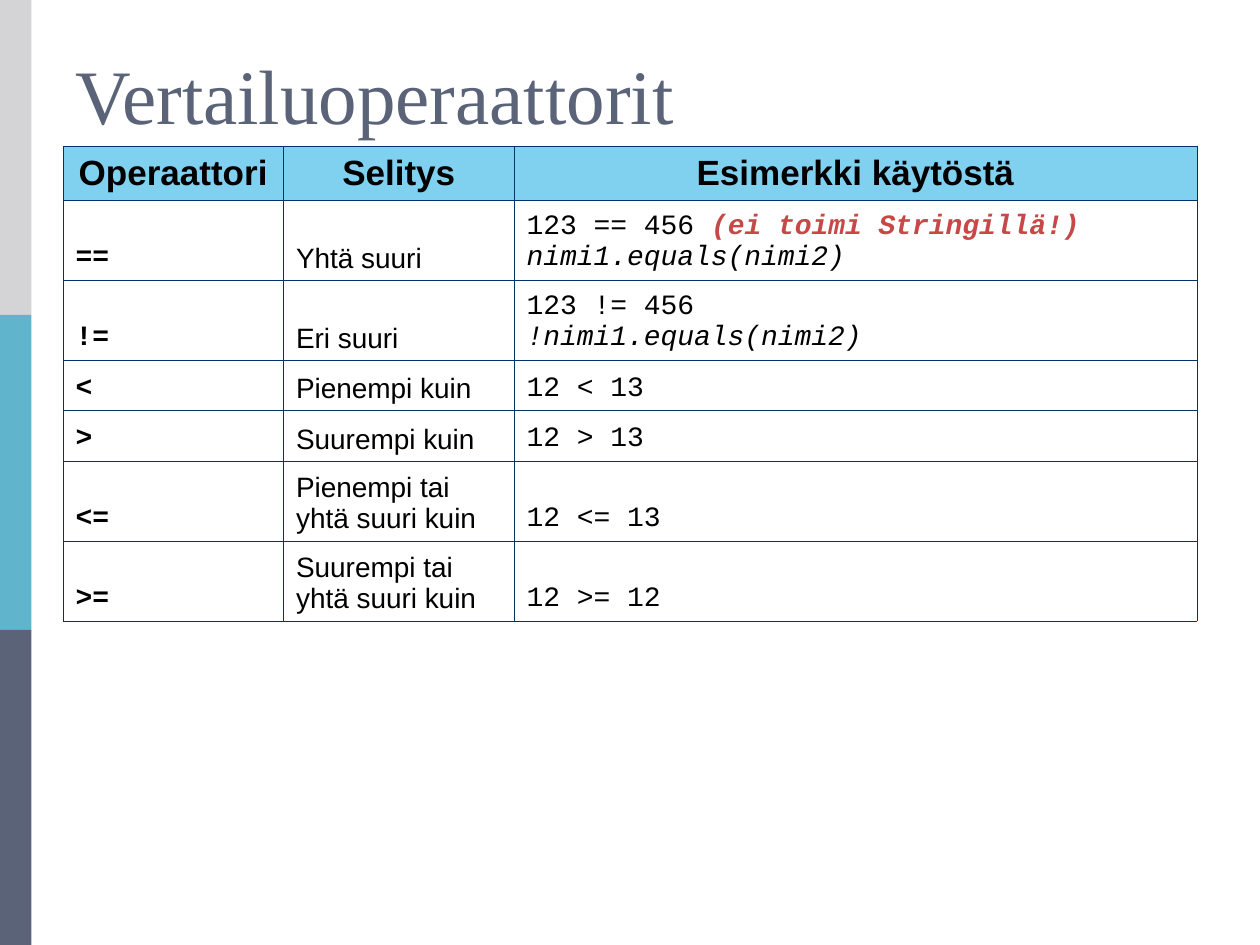
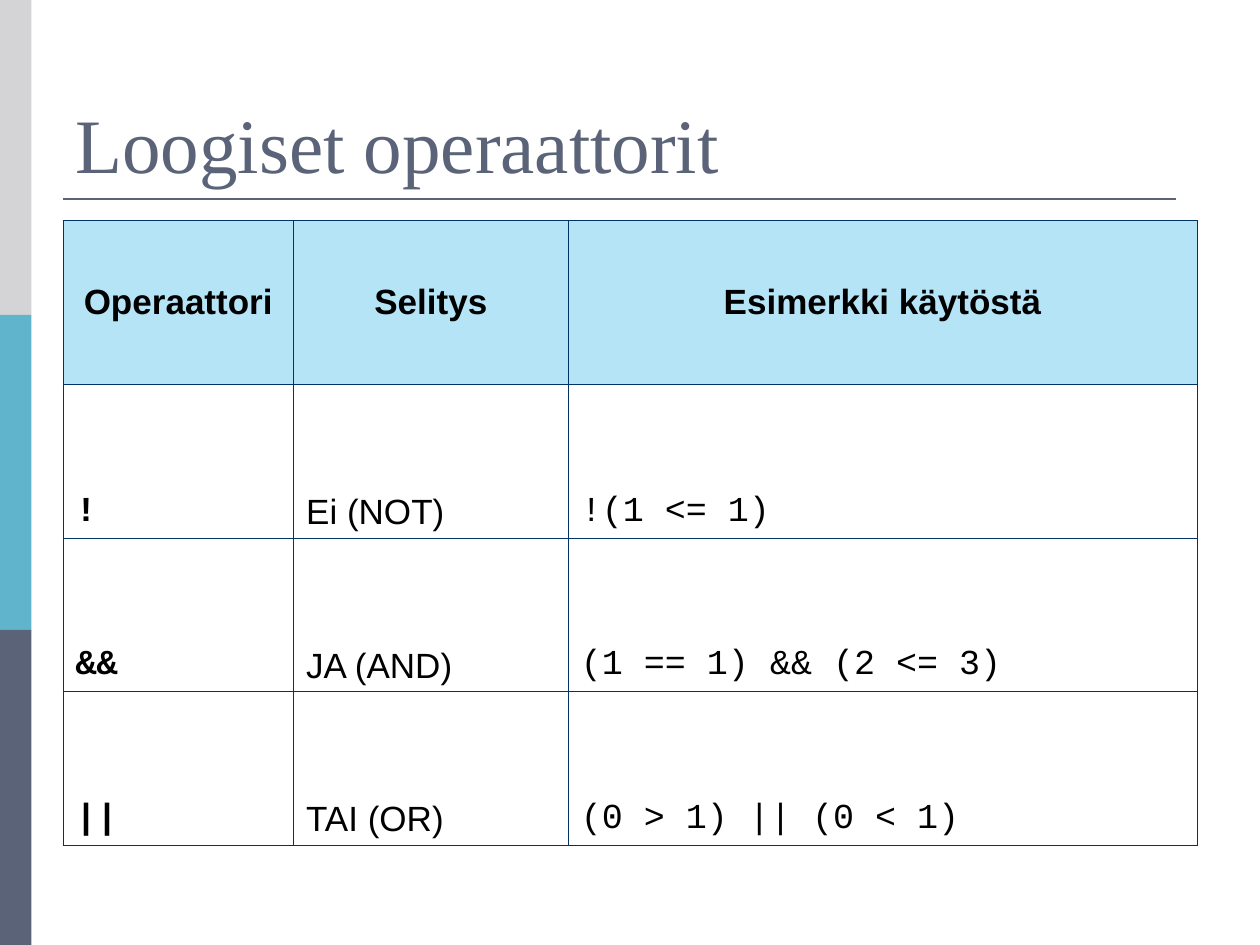
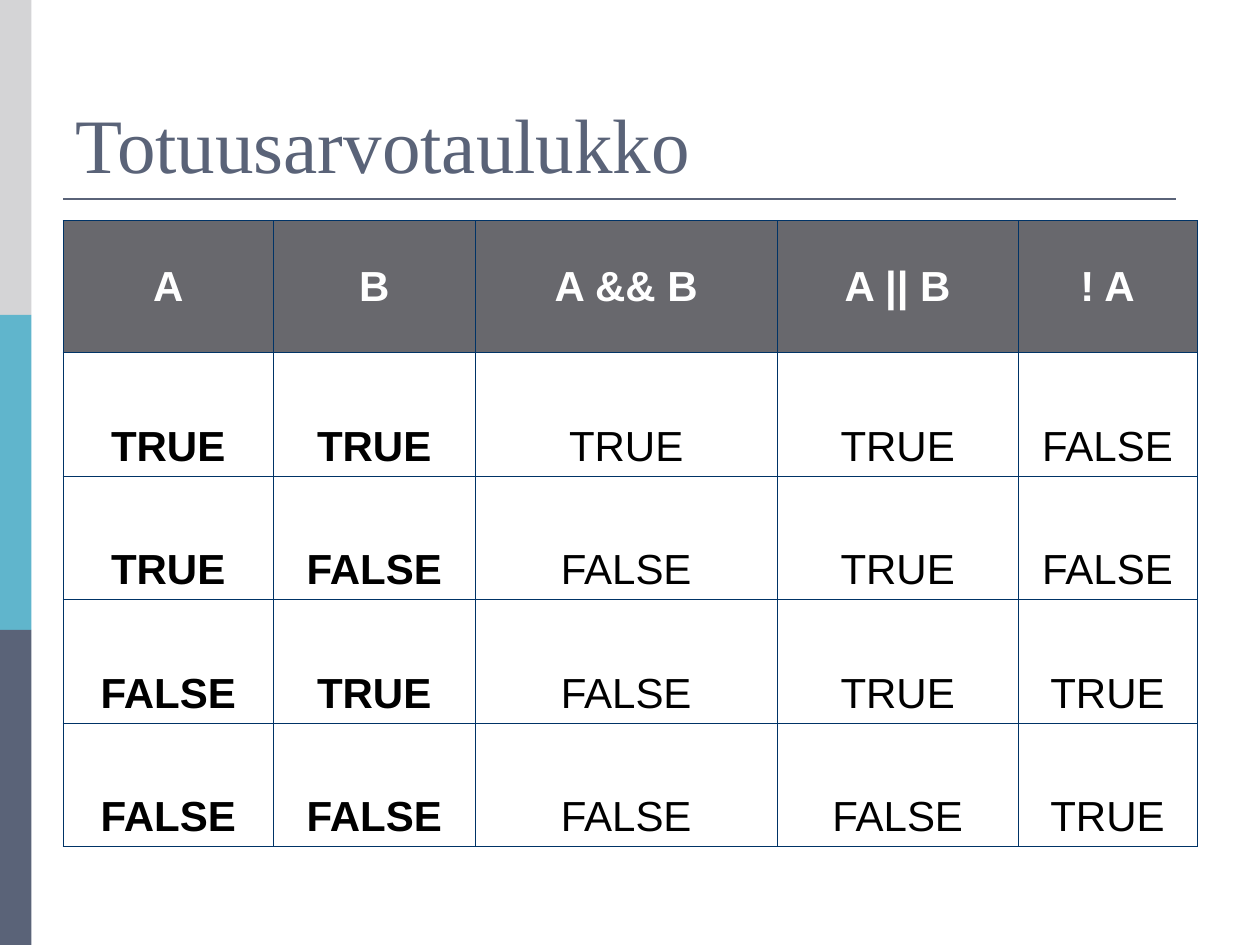
from lxml import etree
from pptx import Presentation
from pptx import util as u
from pptx.dml.color import RGBColor
from pptx.enum import shapes, text
from pptx.oxml import ns

PX = 9144  # EMU per px, 100 px to the inch
SLIDE_W, SLIDE_H = 1000, 750

SLATE = RGBColor(0x5A, 0x63, 0x78)
TEAL = RGBColor(0x60, 0xB5, 0xCC)
SILVER = RGBColor(0xD4, 0xD4, 0xD6)
SKY = RGBColor(0x80, 0xD0, 0xF0)
PALE_SKY = RGBColor(0xB6, 0xE4, 0xF7)
GRAPHITE = RGBColor(0x68, 0x68, 0x6D)
NAVY = RGBColor(0x00, 0x33, 0x66)
RED = RGBColor(0xC6, 0x48, 0x47)
BLACK = RGBColor(0x00, 0x00, 0x00)
WHITE = RGBColor(0xFF, 0xFF, 0xFF)

ANCHOR = text.MSO_ANCHOR
CENTER, LEFT = text.PP_ALIGN.CENTER, text.PP_ALIGN.LEFT

TITLE = dict(name="Times New Roman", size=44, color=SLATE)
HEADER = dict(name="Arial", size=20, color=BLACK, bold=True)
PLAIN = dict(name="Arial", size=20, color=BLACK, bold=False)
CODE = dict(PLAIN, name="Courier New")
OPERATOR = dict(CODE, bold=True)
ITALIC = dict(italic=True)
WARNING = dict(italic=True, bold=True, color=RED)

OPERATOR_HEADS = ["Operaattori", "Selitys", "Esimerkki käytöstä"]
COMPARISONS = [
    ["==", "Yhtä suuri", [[("123 == 456 ", {}), ("(ei toimi Stringillä!)", WARNING)],
                          [("nimi1.equals(nimi2)", ITALIC)]]],
    ["!=", "Eri suuri", [[("123 != 456", {})], [("!nimi1.equals(nimi2)", ITALIC)]]],
    ["<", "Pienempi kuin", "12 < 13"],
    [">", "Suurempi kuin", "12 > 13"],
    ["<=", "Pienempi tai yhtä suuri kuin", "12 <= 13"],
    [">=", "Suurempi tai yhtä suuri kuin", "12 >= 12"],
]
LOGICALS = [
    ["!", "Ei (NOT)", "!(1 <= 1)"],
    ["&&", "JA (AND)", "(1 == 1) && (2 <= 3)"],
    ["||", "TAI (OR)", "(0 > 1) || (0 < 1)"],
]
TRUTH_HEADS = ["A", "B", "A && B", "A || B", "! A"]


def px(*lengths):
    return [u.Emu(n * PX) for n in lengths]


def write(tf, content, style, align=LEFT):
    """Fill a text frame from a string or a list of paragraphs of (text, changes) runs."""
    paragraphs = [[(content, {})]] if isinstance(content, str) else content
    for i, runs in enumerate(paragraphs):
        p = tf.paragraphs[0] if i == 0 else tf.add_paragraph()
        p.alignment = align
        for words, changes in runs:
            r = p.add_run()
            r.text = words
            for key, value in {**style, **changes}.items():
                if key == "color":
                    r.font.color.rgb = value
                else:
                    setattr(r.font, key, u.Pt(value) if key == "size" else value)


def add_side_band(s, box):
    x, y, w, h = box
    part = h // 3
    for i, color in enumerate([SILVER, TEAL, SLATE]):
        sp = s.shapes.add_shape(shapes.MSO_SHAPE.RECTANGLE, *px(x, y + i * part, w, part))
        sp.shadow.inherit = False
        sp.fill.solid()
        sp.fill.fore_color.rgb = color
        sp.line.fill.background()


def add_title_rule(s, x1, x2, y):
    line = s.shapes.add_connector(shapes.MSO_CONNECTOR.STRAIGHT, *px(x1, y, x2, y))
    line.line.color.rgb = SLATE
    line.line.width = u.Pt(1.5)
    etree.SubElement(line._element.spPr, ns.qn("a:effectLst"))


def add_title(s, box, words):
    tf = s.shapes.add_textbox(*px(*box)).text_frame
    tf.word_wrap = True
    tf.vertical_anchor = ANCHOR.BOTTOM
    write(tf, words, TITLE)


def add_borders(cell):
    tc_pr = cell._tc.get_or_add_tcPr()
    for side in ("lnL", "lnR", "lnT", "lnB"):
        ln = etree.SubElement(tc_pr, ns.qn(f"a:{side}"), w=str(u.Pt(0.45)))
        fill = etree.SubElement(ln, ns.qn("a:solidFill"))
        etree.SubElement(fill, ns.qn("a:srgbClr"), val=str(NAVY))


def add_grid(s, x, y, widths, heights, heads, rows, head_style, head_fill, styles, align=LEFT):
    """Add a bordered table with a filled header row and one text style per column."""
    table = s.shapes.add_table(len(heights), len(widths),
                               *px(x, y, sum(widths), sum(heights))).table
    table.first_row = table.horz_banding = False
    for col, width in zip(table.columns, px(*widths)):
        col.width = width
    for row, height in zip(table.rows, px(*heights)):
        row.height = height
    for i, contents in enumerate([heads, *rows]):
        for j, content in enumerate(contents):
            cell = table.cell(i, j)
            add_borders(cell)
            if i == 0:
                cell.fill.solid()
                cell.fill.fore_color.rgb = head_fill
                cell.vertical_anchor = ANCHOR.MIDDLE
                write(cell.text_frame, content, head_style, CENTER)
            else:
                cell.fill.background()
                cell.vertical_anchor = ANCHOR.BOTTOM
                write(cell.text_frame, content, styles[j], align)


def add_slide(prs, title, title_h=125):
    s = prs.slides.add_slide(prs.slide_layouts[6])
    add_side_band(s, (0, 0, 25, SLIDE_H))
    add_title_rule(s, 50, 933, 158)
    add_title(s, (50, 30, 900, title_h), title)
    return s


def comparison_slide(prs):
    s = add_slide(prs, "Vertailuoperaattorit", title_h=86)
    styles = [dict(style, size=16) for style in (OPERATOR, PLAIN, CODE)]
    add_grid(s, 50, 116, [175, 183, 542], [43, 63, 63, 40, 40, 63, 63],
             OPERATOR_HEADS, COMPARISONS, HEADER, SKY, styles)


def logical_slide(prs):
    s = add_slide(prs, "Loogiset operaattorit")
    add_grid(s, 50, 175, [183, 218, 499], [130] + [122] * 3,
             OPERATOR_HEADS, LOGICALS, HEADER, PALE_SKY, [OPERATOR, PLAIN, CODE])


def truth_slide(prs):
    s = add_slide(prs, "Totuusarvotaulukko")
    rows = [[str(v).upper() for v in (a, b, a and b, a or b, not a)]
            for a in (True, False) for b in (True, False)]
    plain = dict(PLAIN, size=24)
    bold = dict(plain, bold=True)
    add_grid(s, 50, 175, [167, 160, 240, 191, 142], [105] + [98] * 4, TRUTH_HEADS, rows,
             dict(bold, color=WHITE), GRAPHITE, [bold] * 2 + [plain] * 3, CENTER)


def main():
    prs = Presentation()
    prs.slide_width, prs.slide_height = px(SLIDE_W, SLIDE_H)
    for build in (comparison_slide, logical_slide, truth_slide):
        build(prs)
    prs.save("out.pptx")


if __name__ == "__main__":
    main()
